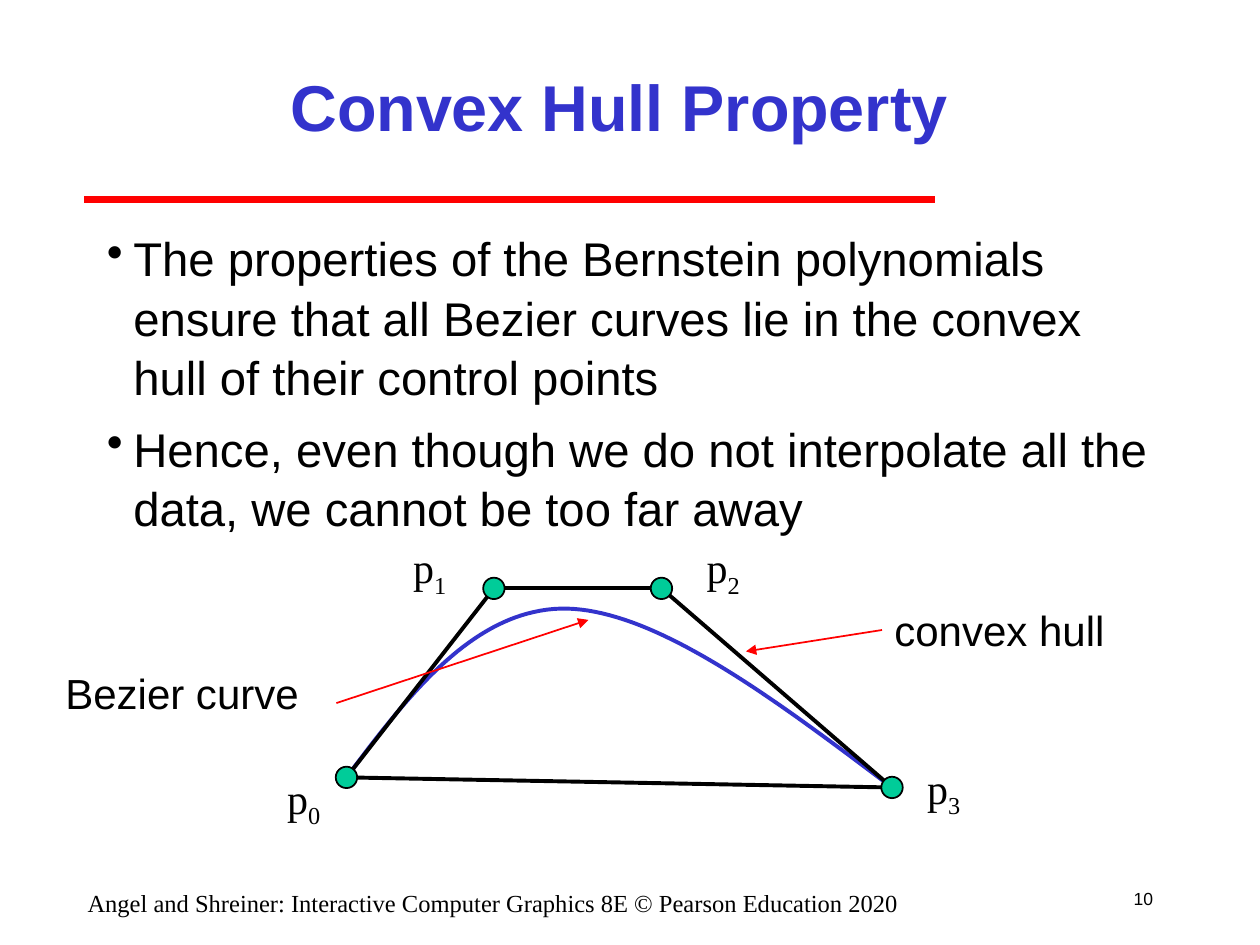
from lxml import etree
from pptx import Presentation
from pptx.dml.color import RGBColor
from pptx.enum.shapes import MSO_CONNECTOR, MSO_SHAPE
from pptx.enum.text import MSO_ANCHOR, PP_ALIGN
from pptx.oxml.ns import qn
from pptx.util import Inches, Pt

STRAIGHT = MSO_CONNECTOR.STRAIGHT
OVAL = MSO_SHAPE.OVAL
MIDDLE, TOP = MSO_ANCHOR.MIDDLE, MSO_ANCHOR.TOP
LEFT, CENTER, RIGHT = PP_ALIGN.LEFT, PP_ALIGN.CENTER, PP_ALIGN.RIGHT
BLACK, BLUE, RED, GREEN = "000000", "3333CC", "FF0000", "00CC99"
SANS, SERIF = "Arial", "Times New Roman"
color = RGBColor.from_string

presentation = Presentation()
presentation.slide_width = Inches(10)
presentation.slide_height = Inches(7.5)
slide = presentation.slides.add_slide(presentation.slide_layouts[6])


def add_text(box, lines, size, font=SANS, fill=BLACK, align=LEFT, anchor=TOP, wrap=True):
    shape = slide.shapes.add_textbox(*[Inches(length) for length in box])
    frame = shape.text_frame
    frame.word_wrap = wrap
    frame.vertical_anchor = anchor
    frame.text = "\n".join(lines)
    for paragraph in frame.paragraphs:
        paragraph.alignment = align
        paragraph.font.size = Pt(size)
        paragraph.font.name = font
        paragraph.font.color.rgb = color(fill)
    return frame


def add_line(start, end, fill, width, arrow=False):
    line = slide.shapes.add_connector(STRAIGHT, *[Inches(length) for length in start + end])
    line.line.color.rgb = color(fill)
    line.line.width = Pt(width)
    properties = line._element.spPr
    if arrow:
        etree.SubElement(properties.find(qn("a:ln")), qn("a:tailEnd"), type="triangle")
    etree.SubElement(properties, qn("a:effectLst"))


add_line((0.67, 1.58), (7.42, 1.58), RED, 4)
add_text((8.83, 6.92, 0.42, 0.42), ["10"], 10, align=RIGHT, anchor=MIDDLE, wrap=False)
title = add_text((1.5, 0.25, 6.83, 1.17), ["Convex Hull Property"], 37,
                 fill=BLUE, align=CENTER, anchor=MIDDLE)
title.paragraphs[0].font.bold = True

statements = [
    "The properties of the Bernstein polynomials ensure that all Bezier curves "
    "lie in the convex hull of their control points",
    "Hence, even though we do not interpolate all the data, we cannot be too far away",
]
body = add_text((0.75, 1.75, 8.5, 2.5), statements, 27)
for index, paragraph in enumerate(body.paragraphs):
    paragraph.line_spacing = 1.05
    paragraph.space_before = Pt(6.8 if index else 0)
    properties = paragraph._p.get_or_add_pPr()
    properties.set("marL", str(Inches(0.21)))
    properties.set("indent", str(-Inches(0.21)))
    bullet = etree.Element(qn("a:buChar"), char="•")
    properties.find(qn("a:defRPr")).addprevious(bullet)

curve_segments = [
    [(2.75, 6.17), (3.26, 5.49), (3.78, 4.82), (4.5, 4.83)],
    [(4.5, 4.83), (5.22, 4.85), (6.15, 5.55), (7.08, 6.25)],
]
steps = 40
curve_points = []
for segment in curve_segments:
    for step in range(steps + 1):
        t = step / steps
        weights = [(1 - t) ** 3, 3 * t * (1 - t) ** 2, 3 * t ** 2 * (1 - t), t ** 3]
        curve_points.append([
            Inches(sum(weight * point[axis] for weight, point in zip(weights, segment)))
            for axis in (0, 1)
        ])
builder = slide.shapes.build_freeform(*curve_points[0])
builder.add_line_segments(curve_points[1:], close=False)
curve = builder.convert_to_shape()
curve.shadow.inherit = False
curve.fill.background()
curve.line.color.rgb = color(BLUE)
curve.line.width = Pt(2.25)

control_points = [(2.75, 6.17), (3.92, 4.67), (5.25, 4.67), (7.08, 6.25)]
for start, end in zip(control_points, control_points[1:] + control_points[:1]):
    add_line(start, end, BLACK, 2.25)

diameter = 0.17
for x, y in control_points:
    dot = slide.shapes.add_shape(OVAL, Inches(x - diameter / 2), Inches(y - diameter / 2),
                                 Inches(diameter), Inches(diameter))
    dot.shadow.inherit = False
    dot.fill.solid()
    dot.fill.fore_color.rgb = color(GREEN)
    dot.line.color.rgb = color(BLACK)
    dot.line.width = Pt(1)

for index, (left, top) in enumerate([(2.18, 6.08), (3.18, 4.25), (5.51, 4.25), (7.26, 6)]):
    label = add_text((left, top, 0.46, 0.56), ["p"], 24, font=SERIF, wrap=False)
    subscript = label.paragraphs[0].add_run()
    subscript.text = str(index)
    subscript._r.get_or_add_rPr().set("baseline", "-25000")

add_text((7, 4.75, 1.87, 0.5), ["convex hull"], 24, wrap=False)
add_line((7, 5), (5.92, 5.17), RED, 1, arrow=True)
add_text((0.42, 5.25, 2.05, 0.5), ["Bezier curve"], 24, wrap=False)
add_line((2.67, 5.58), (4.67, 4.92), RED, 1, arrow=True)

add_text((0.5, 7, 6.83, 0.25),
         ["Angel and Shreiner: Interactive Computer Graphics 8E © Pearson Education 2020"],
         14, font=SERIF, align=CENTER)

presentation.save("out.pptx")
